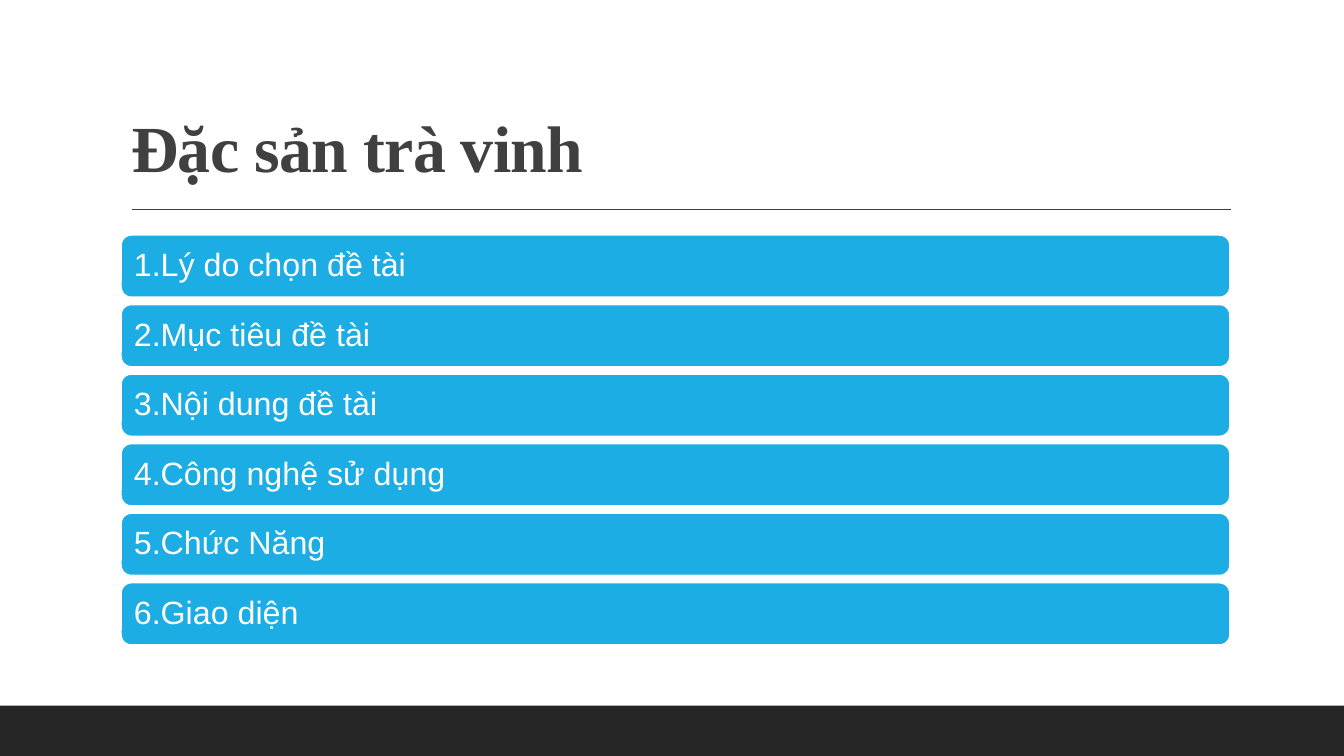
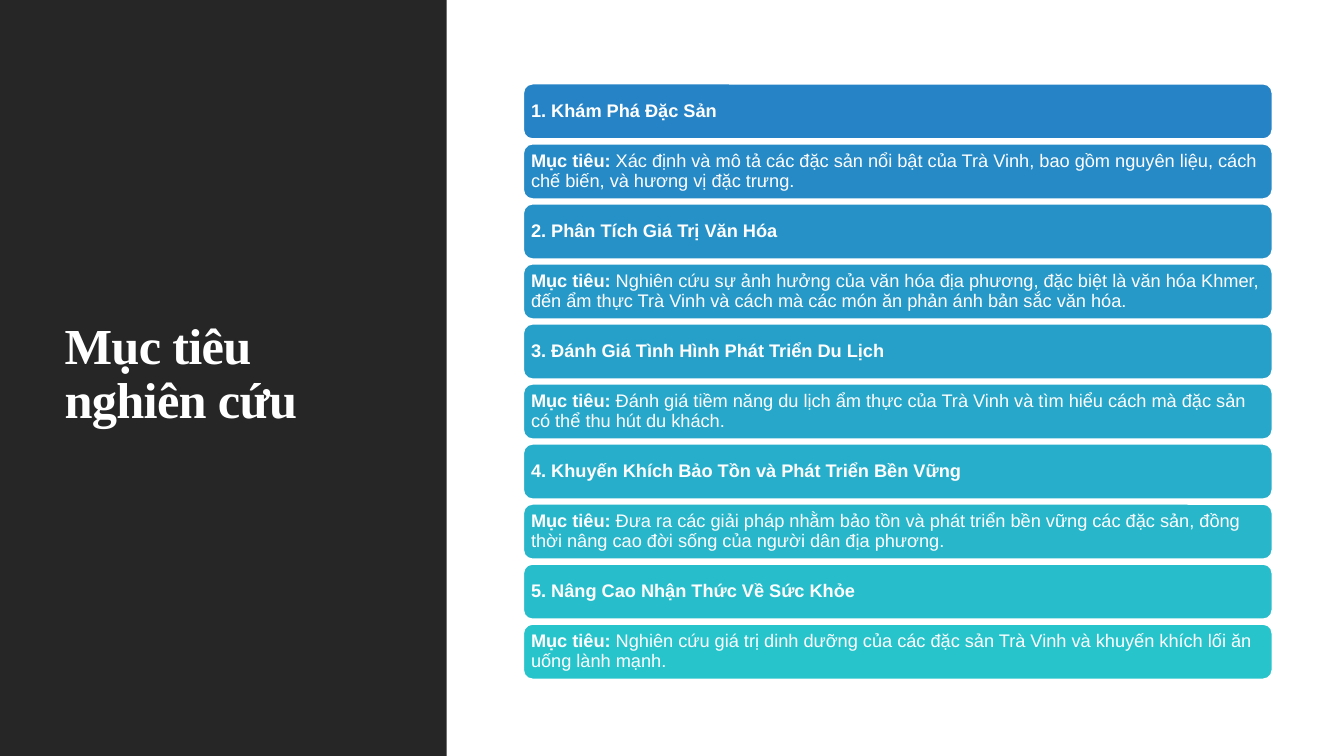
"""Builds two slides: the topic agenda and the research goals."""
from pptx import Presentation
from pptx.dml.color import RGBColor
from pptx.enum.shapes import MSO_CONNECTOR as Line, MSO_SHAPE as Shape
from pptx.enum.text import MSO_ANCHOR as Anchor, MSO_AUTO_SIZE as AutoSize, PP_ALIGN as Align
from pptx.oxml.ns import qn
from pptx.util import Inches, Pt
from lxml.etree import SubElement

WIDTH, HEIGHT = 13.33, 7.5
DARK, GREY, WHITE, SKY = "262626", "404040", "FFFFFF", "1CADE4"
GOAL_START, GOAL_END = "2683C6", "28C4CC"
TITLE_FONT, BODY_FONT = "Times New Roman", "Arial"
GOAL_LABEL = "Mục tiêu:"

AGENDA = ["Lý do chọn đề tài", "Mục tiêu đề tài", "Nội dung đề tài",
          "Công nghệ sử dụng", "Chức Năng", "Giao diện"]
GOALS = [
    ("Khám Phá Đặc Sản",
     "Xác định và mô tả các đặc sản nổi bật của Trà Vinh, bao gồm nguyên liệu, "
     "cách chế biến, và hương vị đặc trưng."),
    ("Phân Tích Giá Trị Văn Hóa",
     "Nghiên cứu sự ảnh hưởng của văn hóa địa phương, đặc biệt là văn hóa Khmer, "
     "đến ẩm thực Trà Vinh và cách mà các món ăn phản ánh bản sắc văn hóa."),
    ("Đánh Giá Tình Hình Phát Triển Du Lịch",
     "Đánh giá tiềm năng du lịch ẩm thực của Trà Vinh và tìm hiểu cách mà đặc sản "
     "có thể thu hút du khách."),
    ("Khuyến Khích Bảo Tồn và Phát Triển Bền Vững",
     "Đưa ra các giải pháp nhằm bảo tồn và phát triển bền vững các đặc sản, đồng "
     "thời nâng cao đời sống của người dân địa phương."),
    ("Nâng Cao Nhận Thức Về Sức Khỏe",
     "Nghiên cứu giá trị dinh dưỡng của các đặc sản Trà Vinh và khuyến khích lối "
     "ăn uống lành mạnh."),
]


def color(code):
    """Turn a hex string into a colour."""
    return RGBColor.from_string(code)


def blend(start, end, share):
    """Mix two hex colours; share 0 gives the first, 1 the second."""
    pairs = zip(color(start), color(end))
    return "".join(f"{round(a + (b - a) * share):02X}" for a, b in pairs)


def style(paragraph, face, size, code, bold=None):
    """Set the font and the tight line spacing of a paragraph."""
    paragraph.alignment = Align.LEFT
    paragraph.line_spacing = 0.9
    font = paragraph.font
    font.name, font.size, font.bold = face, Pt(size), bold
    font.color.rgb = color(code)


def add_block(slide, kind, box, fill, outline=None):
    """Add a filled preset shape without shadow."""
    block = slide.shapes.add_shape(kind, *map(Inches, box))
    block.shadow.inherit = False
    block.fill.solid()
    block.fill.fore_color.rgb = color(fill)
    if outline:
        block.line.color.rgb = color(outline)
        block.line.width = Pt(1.25)
    else:
        block.line.fill.background()
    return block


def add_band(slide, box):
    """Add a dark band behind everything else."""
    band = add_block(slide, Shape.RECTANGLE, box, DARK)
    slide.shapes._spTree.insert(2, band._element)


def add_rule(slide, left, right, y):
    """Add the thin horizontal rule under a title."""
    rule = slide.shapes.add_connector(Line.STRAIGHT, *map(Inches, (left, y, right, y)))
    rule.line.color.rgb = color(GREY)
    rule.line.width = Pt(1)
    SubElement(rule._element.spPr, qn("a:effectLst"))


def set_title(slide, text, box, size, code, anchor):
    """Place and format the title placeholder."""
    title = slide.shapes.title
    title.left, title.top, title.width, title.height = map(Inches, box)
    frame = title.text_frame
    frame.text = text
    frame.word_wrap = True
    frame.auto_size = AutoSize.NONE
    frame.vertical_anchor = anchor
    paragraph = frame.paragraphs[0]
    style(paragraph, TITLE_FONT, size, code, True)
    paragraph.runs[0]._r.get_or_add_rPr().set("spc", "-50")


def add_bars(slide, rows, fills, box, pitch, size, inset):
    """Stack rounded bars at an equal pitch; a row is a list of (text, bold) runs."""
    left, top, width, height = box
    for index, (row, fill) in enumerate(zip(rows, fills)):
        place = (left, top + index * pitch, width, height)
        frame = add_block(slide, Shape.ROUNDED_RECTANGLE, place, fill, WHITE).text_frame
        frame.word_wrap = True
        frame.vertical_anchor = Anchor.MIDDLE
        frame.margin_left = frame.margin_right = Inches(inset)
        frame.margin_top = frame.margin_bottom = Inches(inset)
        paragraph = frame.paragraphs[0]
        style(paragraph, BODY_FONT, size, WHITE)
        for text, bold in row:
            run = paragraph.add_run()
            run.text, run.font.bold = text, bold


def build_agenda(slide):
    """Build the agenda with one bar for each topic."""
    left, width = 0.09 * WIDTH, 11
    add_band(slide, (0, 7, WIDTH, HEIGHT - 7))
    set_title(slide, "Đặc sản trà vinh", (left, 0.31, width, 1.59), 47, GREY, Anchor.BOTTOM)
    add_rule(slide, 1.31, 12.21, 2.08)
    rows = [[(f"{number}.{topic}", False)] for number, topic in enumerate(AGENDA, 1)]
    add_bars(slide, rows, [SKY] * len(rows), (left, 2.33, width, 0.62), 0.69, 23, 0.1)


def build_goals(slide):
    """Build the goals as heading and detail bars beside a dark title panel."""
    add_band(slide, (0, 0, 4.43, HEIGHT))
    set_title(slide, "Mục tiêu nghiên cứu", (0.54, 0.57, 3.37, 6.31), 36, WHITE, Anchor.MIDDLE)
    rows = []
    for number, (heading, detail) in enumerate(GOALS, 1):
        rows.append([(f"{number}. {heading}", True)])
        rows.append([(GOAL_LABEL, True), (f" {detail}", False)])
    last = len(rows) - 1
    fills = [blend(GOAL_START, GOAL_END, index / last) for index in range(len(rows))]
    first, final = 0.83, 6.19
    add_bars(slide, rows, fills, (5.19, first, 7.43, 0.55), (final - first) / last, 13, 0.05)


def main():
    """Create the presentation and save it."""
    deck = Presentation()
    deck.slide_width, deck.slide_height = Inches(WIDTH), Inches(HEIGHT)
    title_only = deck.slide_layouts[5]
    for build in (build_agenda, build_goals):
        build(deck.slides.add_slide(title_only))
    deck.save("out.pptx")


if __name__ == "__main__":
    main()
